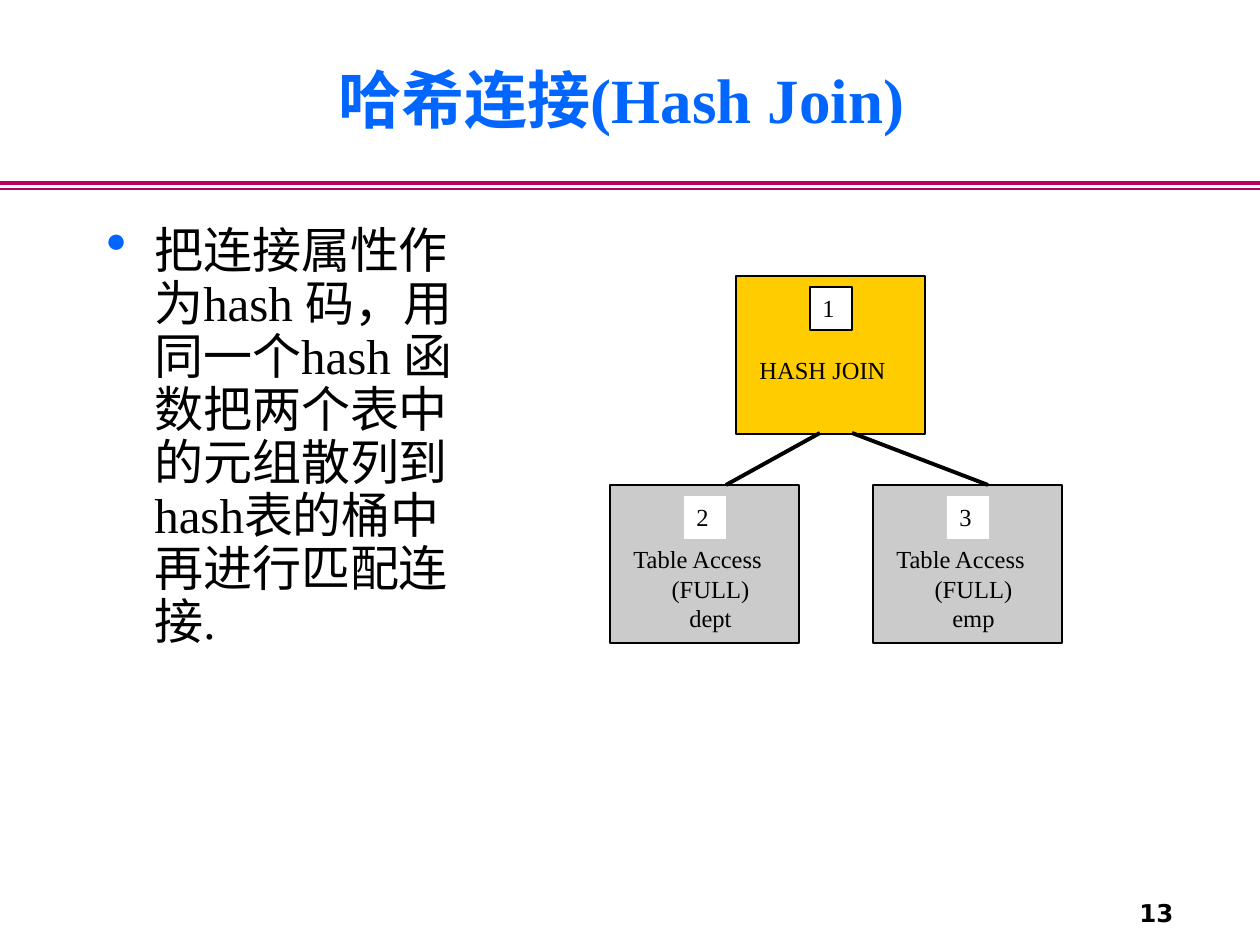
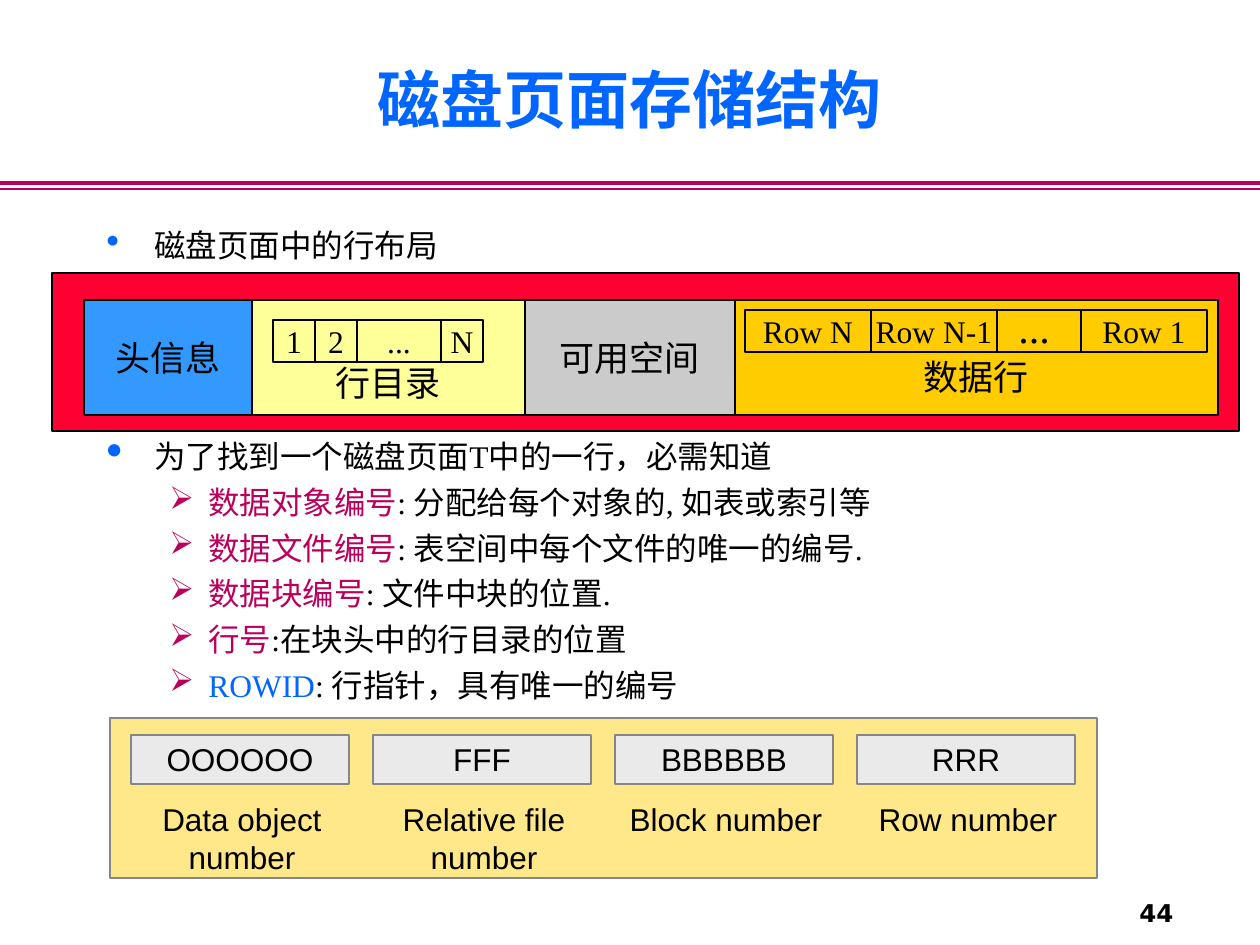
from dataclasses import dataclass
from itertools import accumulate
from typing import Optional, Sequence

from lxml.etree import SubElement
from pptx import Presentation
from pptx.dml.color import RGBColor
from pptx.enum.shapes import MSO_CONNECTOR as Connector, MSO_SHAPE as Preset
from pptx.enum.text import MSO_ANCHOR as Anchor, PP_ALIGN as Align
from pptx.oxml.ns import qn
from pptx.util import Pt

PX_PER_INCH = 126


def px(length: int) -> int:
    return round(length * 914400 / PX_PER_INCH)


@dataclass(frozen=True)
class Theme:
    serif: str = "Times New Roman"
    sans: str = "Arial"
    number_font: str = "DejaVu Sans"
    ink: str = "000000"
    white: str = "FFFFFF"
    blue: str = "0066FF"
    magenta: str = "BA005D"
    gray: str = "CBCBCB"
    gold: str = "FFCC00"
    red: str = "FF0033"
    sky: str = "3399FF"
    lemon: str = "FFFF99"
    cream: str = "FFE88A"
    pale: str = "EAEAEA"
    border: str = "868686"
    title_size: int = 36
    body_size: int = 28
    dots_size: int = 24
    section_size: int = 20
    text_size: int = 18
    small_size: int = 14


THEME = Theme()


@dataclass(frozen=True)
class Box:
    left: int
    top: int
    width: int
    height: int

    def emu(self) -> tuple[int, ...]:
        return tuple(map(px, (self.left, self.top, self.width, self.height)))


@dataclass(frozen=True)
class Style:
    size: int
    font: str = THEME.serif
    color: str = THEME.ink
    bold: bool = False
    align: Align = Align.LEFT
    anchor: Anchor = Anchor.TOP
    wrap: bool = True


@dataclass(frozen=True)
class Bullet:
    char: str
    color: str
    percent: int
    margin: int
    hang: int
    level: int = 0
    space_before: float = 0
    line_spacing: Optional[float] = None


@dataclass(frozen=True)
class PlanStep:
    number: str
    left: int
    top: int
    fill: str
    operation: Sequence[str]
    label_drop: int
    badge_line: Optional[str] = None


@dataclass(frozen=True)
class Section:
    name: str
    width: int
    fill: str
    top_inset: int = 6


@dataclass(frozen=True)
class Term:
    name: str
    meaning: str
    color: str = THEME.magenta


LABEL = Style(THEME.small_size)
CELL = Style(THEME.text_size, align=Align.CENTER, anchor=Anchor.MIDDLE, wrap=False)
SECTION = Style(THEME.section_size, THEME.sans, align=Align.CENTER,
                anchor=Anchor.MIDDLE, wrap=False)
FIELD = Style(THEME.text_size, THEME.sans, align=Align.CENTER,
              anchor=Anchor.MIDDLE, wrap=False)
FIELD_NAME = Style(THEME.text_size, THEME.sans, align=Align.CENTER)
TITLE = Style(THEME.title_size, color=THEME.blue, bold=True,
              align=Align.CENTER, anchor=Anchor.MIDDLE)
PAGE_NUMBER = Style(THEME.small_size, THEME.number_font, bold=True,
                    align=Align.RIGHT, anchor=Anchor.MIDDLE, wrap=False)

STEPS = (
    PlanStep("2", 610, 485, THEME.gray, ("Table Access", "(FULL)", "dept"), 53),
    PlanStep("3", 873, 485, THEME.gray, ("Table Access", "(FULL)", "emp"), 53),
    PlanStep("1", 736, 276, THEME.gold, ("HASH JOIN",), 73, THEME.ink),
)
SECTIONS = (
    Section("头信息", 168, THEME.sky),
    Section("行目录", 273, THEME.lemon, 56),
    Section("可用空间", 210, THEME.gray),
    Section("数据行", 483, THEME.gold, 44),
)
DIRECTORY = (("1", 42), ("2", 42), ("...", 84), ("N", 42))
ROWS = (("Row N", 745), ("Row N-1", 871), ("Row 1", 1081))
TERMS = (
    Term("数据对象编号", ": 分配给每个对象的, 如表或索引等"),
    Term("数据文件编号", ": 表空间中每个文件的唯一的编号."),
    Term("数据块编号", ": 文件中块的位置."),
    Term("行号", ":在块头中的行目录的位置"),
    Term("ROWID", ": 行指针，具有唯一的编号", THEME.blue),
)
ROWID_FIELDS = (
    ("OOOOOO", "Data object number"),
    ("FFF", "Relative file number"),
    ("BBBBBB", "Block number"),
    ("RRR", "Row number"),
)


def rgb(color: str) -> RGBColor:
    return RGBColor.from_string(color)


def apply_style(paragraph, style: Style) -> None:
    paragraph.alignment = style.align
    font = paragraph.font
    font.name, font.size, font.bold = style.font, Pt(style.size), style.bold
    font.color.rgb = rgb(style.color)


def apply_bullet(paragraph, bullet: Bullet) -> None:
    """Must run before the paragraph font is set, to keep the XML order."""
    paragraph.level = bullet.level
    paragraph.space_before = Pt(bullet.space_before)
    if bullet.line_spacing:
        paragraph.line_spacing = bullet.line_spacing
    properties = paragraph._p.get_or_add_pPr()
    properties.set("marL", str(px(bullet.margin)))
    properties.set("indent", str(-px(bullet.hang)))
    color = SubElement(properties, qn("a:buClr"))
    SubElement(color, qn("a:srgbClr"), val=bullet.color)
    SubElement(properties, qn("a:buSzPct"), val=str(bullet.percent * 1000))
    SubElement(properties, qn("a:buChar"), char=bullet.char)


def frame_of(shape, style: Style):
    frame = shape.text_frame
    frame.word_wrap = style.wrap
    frame.vertical_anchor = style.anchor
    return frame


def add_text(slide, box: Box, text: str, style: Style, bullet: Optional[Bullet] = None):
    frame = frame_of(slide.shapes.add_textbox(*box.emu()), style)
    paragraph = frame.paragraphs[0]
    paragraph.text = text
    if bullet:
        apply_bullet(paragraph, bullet)
    apply_style(paragraph, style)
    return frame


def add_box(slide, box: Box, fill: Optional[str] = None, line: Optional[str] = THEME.ink,
            line_width: float = 0.75, text: str = "", style: Style = CELL,
            top_inset: int = 6) -> None:
    shape = slide.shapes.add_shape(Preset.RECTANGLE, *box.emu())
    shape.shadow.inherit = False
    if fill:
        shape.fill.solid()
        shape.fill.fore_color.rgb = rgb(fill)
    else:
        shape.fill.background()
    if line:
        shape.line.color.rgb = rgb(line)
        shape.line.width = Pt(line_width)
    else:
        shape.line.fill.background()
    if text:
        frame = frame_of(shape, style)
        frame.margin_top = px(top_inset)
        frame.paragraphs[0].text = text
        apply_style(frame.paragraphs[0], style)


def add_line(slide, start: tuple[int, int], end: tuple[int, int],
             color: str, width: float) -> None:
    line = slide.shapes.add_connector(Connector.STRAIGHT, *map(px, start + end))
    line.line.color.rgb = rgb(color)
    line.line.width = Pt(width)
    SubElement(line._element.spPr, qn("a:effectLst"))


def start_slide(deck, title: str, page: int):
    """Adds a slide with the shared double rule, title and page number."""
    slide = deck.slides.add_slide(deck.slide_layouts[6])
    for top, width in ((183, 2.25), (189, 1)):
        add_line(slide, (0, top), (1260, top), THEME.magenta, width)
    add_text(slide, Box(1112, 892, 74, 42), str(page), PAGE_NUMBER)
    add_text(slide, Box(94, 19, 1071, 158), title, TITLE)
    return slide


def draw_step(slide, step: PlanStep) -> None:
    add_box(slide, Box(step.left, step.top, 189, 158), step.fill)
    operation, *details = step.operation
    frame = add_text(slide, Box(step.left + 11, step.top + step.label_drop, 179, 101),
                     operation, LABEL)
    for detail in details:
        paragraph = frame.add_paragraph()
        paragraph.text = detail
        apply_style(paragraph, Style(THEME.small_size, align=Align.CENTER))
    add_box(slide, Box(step.left + 74, step.top + 11, 42, 43), THEME.white,
            step.badge_line, text=step.number, style=LABEL)


def build_hash_join(deck) -> None:
    slide = start_slide(deck, "哈希连接(Hash Join) ", 13)
    add_text(slide, Box(94, 220, 388, 640),
             "把连接属性作为hash 码，用同一个hash 函数把两个表中的元组散列到hash表的桶中再进行匹配连接.",
             Style(THEME.body_size),
             Bullet("•", THEME.blue, 120, 48, 48, space_before=7, line_spacing=0.9))
    for step in STEPS:
        draw_step(slide, step)
    for start, end in (((820, 433), (726, 485)), ((852, 433), (988, 485))):
        add_line(slide, start, end, THEME.ink, 2.25)


def draw_disk_page(slide) -> None:
    add_box(slide, Box(52, 273, 1187, 158), THEME.red)
    lefts = accumulate((section.width for section in SECTIONS), initial=84)
    for section, left in zip(SECTIONS, lefts):
        add_box(slide, Box(left, 300, section.width, 115), section.fill,
                text=section.name, style=SECTION, top_inset=section.top_inset)
    lefts = accumulate((width for _, width in DIRECTORY), initial=273)
    for (entry, width), left in zip(DIRECTORY, lefts):
        add_box(slide, Box(left, 320, width, 42), text=entry)
    for row, left in ROWS:
        add_box(slide, Box(left, 310, 126, 42), text=row)
    add_text(slide, Box(1006, 295, 57, 63), "...", Style(THEME.dots_size, wrap=False))
    for top in (310, 352):
        add_line(slide, (987, top), (1081, top), THEME.ink, 0.75)


def draw_rowid(slide) -> None:
    add_box(slide, Box(110, 718, 987, 160), THEME.cream, THEME.border, 1)
    for column, (code, name) in enumerate(ROWID_FIELDS):
        left = 131 + 242 * column
        add_box(slide, Box(left, 735, 218, 49), THEME.pale, THEME.border, 1, code, FIELD)
        add_text(slide, Box(left - 10, 794, 242, 87), name, FIELD_NAME)


def build_disk_page(deck) -> None:
    slide = start_slide(deck, "磁盘页面存储结构", 44)
    body = Style(THEME.text_size)
    add_text(slide, Box(94, 220, 1071, 53), "磁盘页面中的行布局", body,
             Bullet("•", THEME.blue, 120, 48, 48))
    draw_disk_page(slide)
    draw_rowid(slide)
    frame = add_text(slide, Box(94, 431, 1071, 312),
                     "为了找到一个磁盘页面T中的一行，必需知道", body,
                     Bullet("•", THEME.blue, 150, 48, 48))
    arrow = Bullet("➢", THEME.magenta, 100, 102, 39, level=1, space_before=4.5)
    for term in TERMS:
        paragraph = frame.add_paragraph()
        apply_bullet(paragraph, arrow)
        apply_style(paragraph, body)
        name = paragraph.add_run()
        name.text = term.name
        name.font.color.rgb = rgb(term.color)
        paragraph.add_run().text = term.meaning


def main() -> None:
    deck = Presentation()
    deck.slide_width, deck.slide_height = px(1260), px(945)
    build_hash_join(deck)
    build_disk_page(deck)
    deck.save("out.pptx")


if __name__ == "__main__":
    main()
